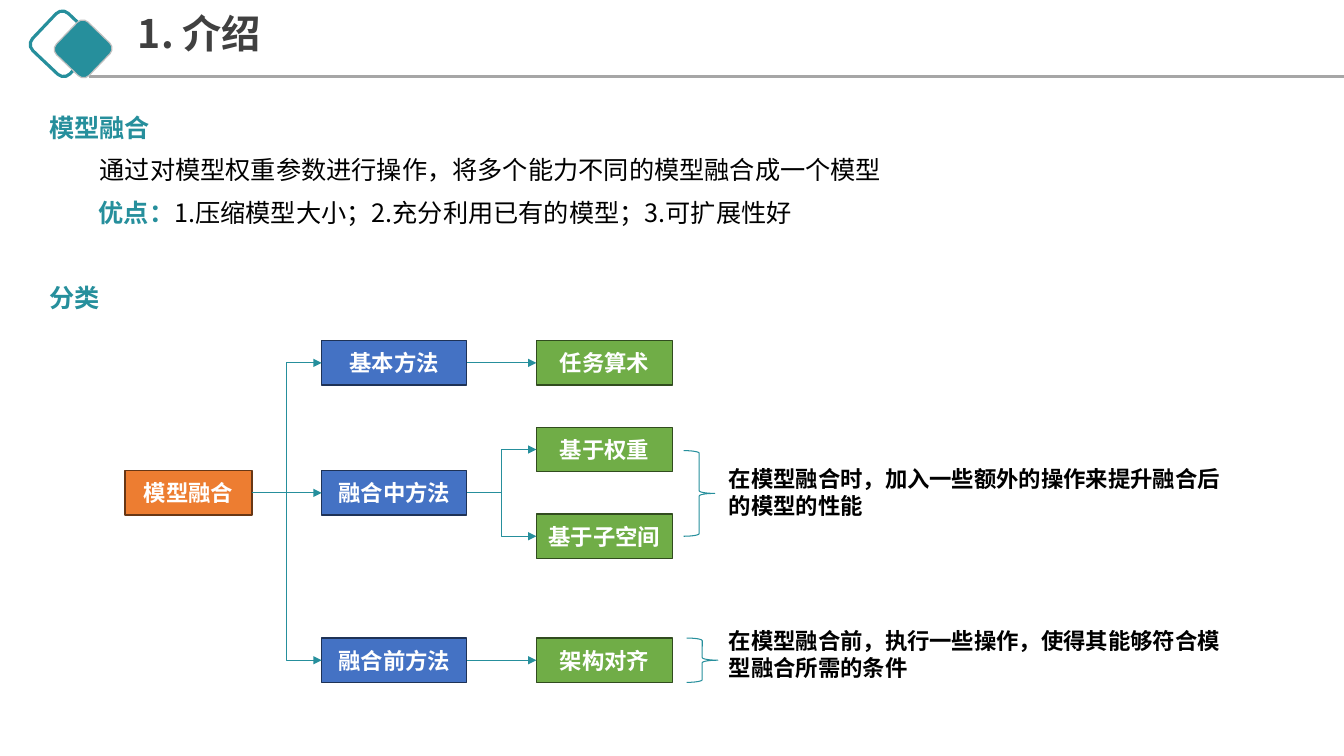
from dataclasses import dataclass

from pptx import Presentation
from pptx.dml.color import RGBColor
from pptx.enum.shapes import MSO_CONNECTOR as CXN, MSO_SHAPE as SHAPE
from pptx.enum.text import MSO_ANCHOR as ANCHOR, PP_ALIGN as ALIGN
from pptx.oxml.ns import qn
from pptx.util import Inches, Pt
from lxml.etree import SubElement


@dataclass(frozen=True)
class Theme:
    teal: str = "268F9C"
    dark: str = "404040"
    black: str = "000000"
    white: str = "FFFFFF"
    rule: str = "A6A6A6"
    silver: str = "BFBFBF"
    orange: tuple = ("ED7D31", "683715")
    blue: tuple = ("4472C4", "1E3256")
    green: tuple = ("70AD47", "314C1F")
    title: int = 28
    body: int = 18
    label: int = 16
    cjk: str = "Noto Sans CJK SC"
    box_font: str = "Calibri"
    note_font: str = "Arial"


class Deck:
    """Draws styled elements on the current slide."""

    def __init__(self, theme):
        self.t = theme
        self.prs = Presentation()
        self.prs.slide_width, self.prs.slide_height = Inches(13.33), Inches(7.5)
        self.s = self.prs.slides.add_slide(self.prs.slide_layouts[6])

    def run(self, p, text, size, color, bold=True, font=None):
        r = p.add_run()
        r.text = text
        r.font.size, r.font.bold = Pt(size), bold
        r.font.name = font or self.t.cjk
        r.font.color.rgb = RGBColor.from_string(color)
        SubElement(r.font._element, qn("a:ea")).set("typeface", self.t.cjk)

    def text(self, x, y, w, h, runs, size, spacing=1.0, indent=0, font=None):
        tf = self.s.shapes.add_textbox(*map(Inches, (x, y, w, h))).text_frame
        tf.word_wrap = True
        p = tf.paragraphs[0]
        p.line_spacing = spacing
        if indent:
            p.level = 1
            pPr = p._p.get_or_add_pPr()
            pPr.set("marL", str(Inches(indent)))
            pPr.set("indent", "0")
        for text, color, bold in runs:
            self.run(p, text, size, color, bold, font)

    def shape(self, kind, x, y, w, h, line, width, fill=None, rotation=0):
        sp = self.s.shapes.add_shape(kind, *map(Inches, (x, y, w, h)))
        sp.shadow.inherit = False
        sp.rotation = rotation
        sp.line.color.rgb = RGBColor.from_string(line)
        sp.line.width = Pt(width)
        if fill:
            sp.fill.solid()
            sp.fill.fore_color.rgb = RGBColor.from_string(fill)
        else:
            sp.fill.background()
        return sp

    def box(self, x, y, w, text, colors):
        fill, line = colors
        sp = self.shape(SHAPE.RECTANGLE, x, y, w, 0.44, line, 1, fill)
        tf = sp.text_frame
        tf.word_wrap, tf.vertical_anchor = True, ANCHOR.MIDDLE
        p = tf.paragraphs[0]
        p.alignment = ALIGN.CENTER
        self.run(p, text, self.t.label, self.t.white, font=self.t.box_font)
        return sp

    def line(self, kind, start, end, color, width):
        c = self.s.shapes.add_connector(kind, *start, *end)
        c.line.color.rgb = RGBColor.from_string(color)
        c.line.width = Pt(width)
        SubElement(c._element.spPr, qn("a:effectLst"))
        return c

    def arrow(self, a, b):
        start = a.left + a.width, a.top + a.height // 2
        end = b.left, b.top + b.height // 2
        kind = CXN.STRAIGHT if start[1] == end[1] else CXN.ELBOW
        c = self.line(kind, start, end, self.t.teal, 0.75)
        c.begin_connect(a, 3)
        c.end_connect(b, 1)
        SubElement(c.line._get_or_add_ln(), qn("a:tailEnd")).set("type", "triangle")

    def brace(self, x, y, h):
        self.shape(SHAPE.RIGHT_BRACE, x, y, 0.31, h, self.t.teal, 0.75)

    def note(self, y, text):
        self.text(7.13, y, 5.24, 0.64, [(text, self.t.black, True)],
                  self.t.label, font=self.t.note_font)


def header(d, t):
    d.shape(SHAPE.ROUNDED_RECTANGLE, 0.37, 0.18, 0.51, 0.51, t.teal, 2.25, rotation=43.4)
    d.line(CXN.STRAIGHT, (Inches(0.88), Inches(0.76)),
           (Inches(13.33), Inches(0.76)), t.rule, 2.25)
    d.shape(SHAPE.ROUNDED_RECTANGLE, 0.6, 0.26, 0.45, 0.45, t.silver, 0.85, t.teal, 43.9)
    d.text(1.27, 0.1, 11.58, 0.59, [("1. 介绍", t.dark, True)], t.title, 0.9)


def introduction(d, t):
    for y, heading in ((0.92, "模型融合"), (2.6, "分类")):
        d.text(0.39, y, 1.71, 0.5, [(heading, t.teal, True)], t.body, 1.5)
    definition = "通过对模型权重参数进行操作，将多个能力不同的模型融合成一个模型"
    benefits = "1.压缩模型大小；2.充分利用已有的模型；3.可扩展性好"
    d.text(0.39, 1.33, 12.45, 0.5, [(definition, t.black, False)], t.body, 1.5, 0.5)
    d.text(0.38, 1.76, 12.45, 0.5,
           [("优点：", t.teal, True), (benefits, t.black, False)], t.body, 1.5, 0.5)


def taxonomy(d, t):
    branches = (
        (3.38, "基本方法", ((3.38, "任务算术"),)),
        (4.67, "融合中方法", ((4.24, "基于权重"), (5.1, "基于子空间"))),
        (6.33, "融合前方法", ((6.33, "架构对齐"),)),
    )
    root = d.box(1.24, 4.67, 1.26, "模型融合", t.orange)
    for y, name, leaves in branches:
        method = d.box(3.19, y, 1.44, name, t.blue)
        d.arrow(root, method)
        for leaf_y, leaf in leaves:
            d.arrow(method, d.box(5.32, leaf_y, 1.35, leaf, t.green))
    d.brace(6.78, 4.47, 0.85)
    d.brace(6.81, 6.33, 0.44)
    d.note(4.57, "在模型融合时，加入一些额外的操作来提升融合后的模型的性能")
    d.note(6.17, "在模型融合前，执行一些操作，使得其能够符合模型融合所需的条件")


def main():
    t = Theme()
    d = Deck(t)
    header(d, t)
    introduction(d, t)
    taxonomy(d, t)
    d.prs.save("out.pptx")


if __name__ == "__main__":
    main()
